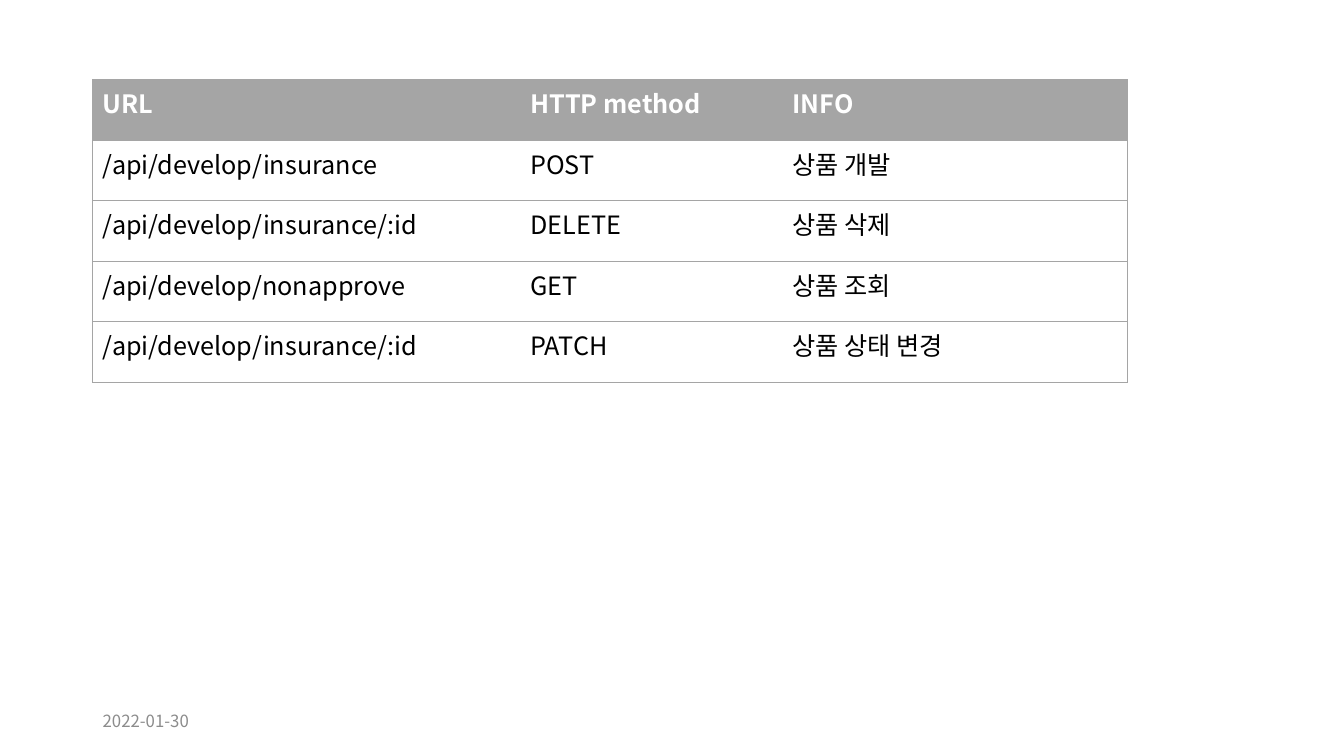
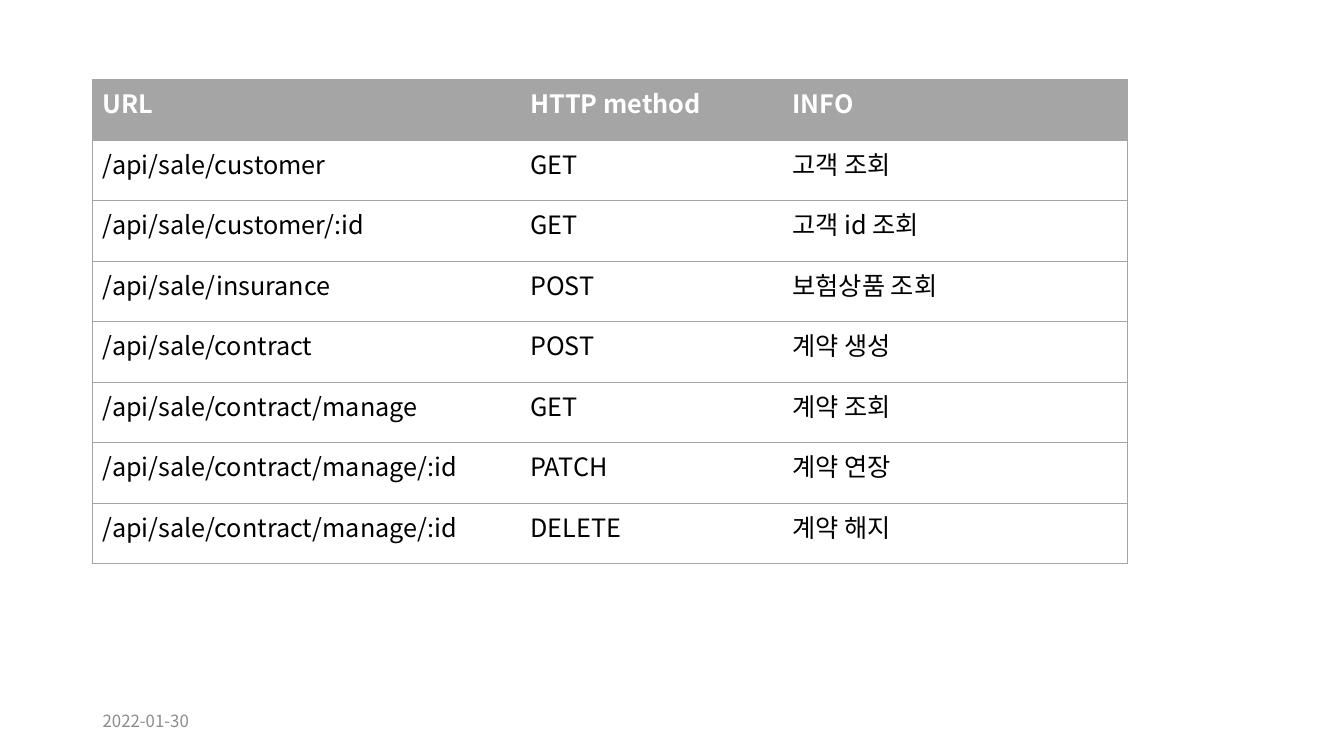
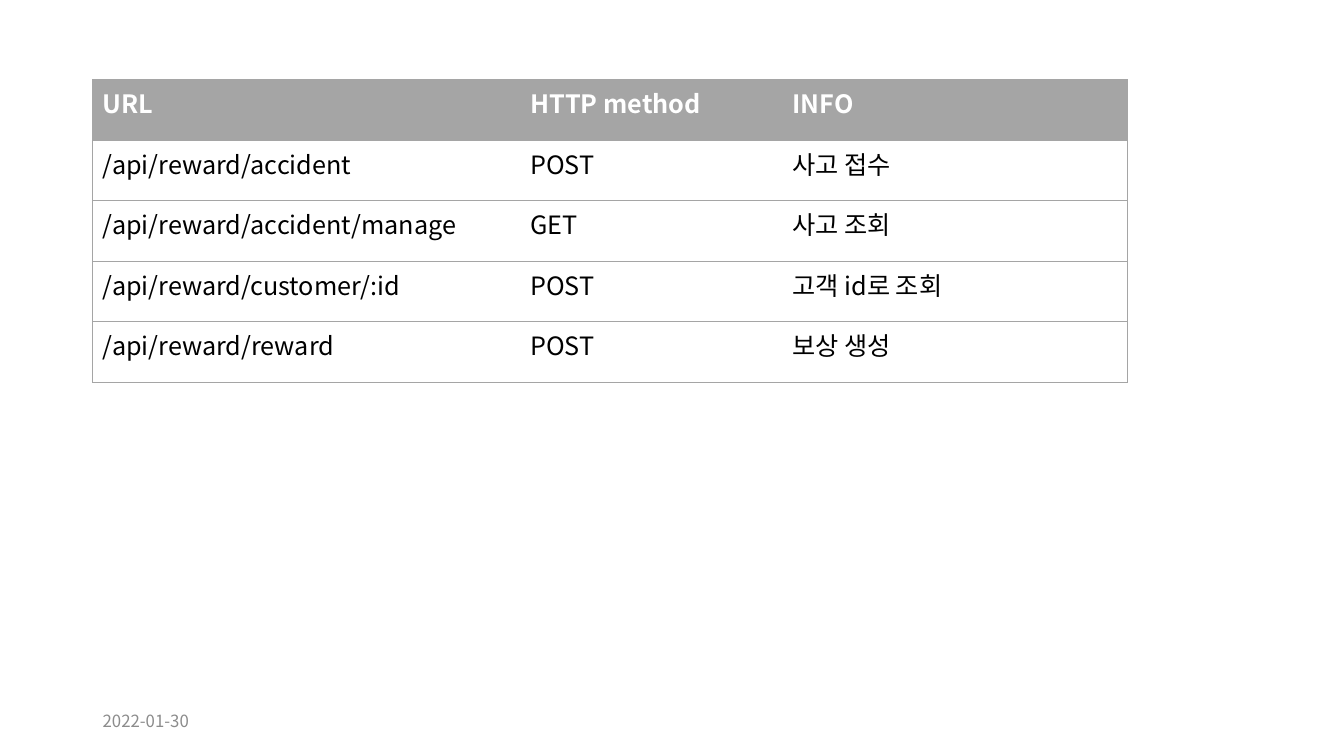
from dataclasses import dataclass

from lxml import etree
from pptx import Presentation
from pptx import util as u
from pptx.dml import color
from pptx.enum import text
from pptx.oxml import ns

PX = 9144  # EMU per px, 100 px to the inch
SLIDE_WIDTH, SLIDE_HEIGHT = 1333, 750
LEFT = 92
TABLE_TOP = 79
COLUMN_WIDTHS = (424, 260, 342)
ROW_HEIGHT = 60
DATE_TOP, DATE_WIDTH, DATE_HEIGHT = 695, 300, 40

FONT = "Noto Sans CJK KR"
WHITE, BLACK, GRAY, DATE_GRAY = "FFFFFF", "000000", "A5A5A5", "8C8C8C"
BORDER_POINTS = 0.5
DATE = "2022-01-30"


@dataclass(frozen=True)
class Endpoint:
    url: str
    method: str
    info: str


HEADER = Endpoint("URL", "HTTP method", "INFO")
DEVELOP = (
    Endpoint("/api/develop/insurance", "POST", "상품 개발"),
    Endpoint("/api/develop/insurance/:id", "DELETE", "상품 삭제"),
    Endpoint("/api/develop/nonapprove", "GET", "상품 조회"),
    Endpoint("/api/develop/insurance/:id", "PATCH", "상품 상태 변경"),
)
SALE = (
    Endpoint("/api/sale/customer", "GET", "고객 조회"),
    Endpoint("/api/sale/customer/:id", "GET", "고객 id 조회"),
    Endpoint("/api/sale/insurance", "POST", "보험상품 조회"),
    Endpoint("/api/sale/contract", "POST", "계약 생성"),
    Endpoint("/api/sale/contract/manage", "GET", "계약 조회"),
    Endpoint("/api/sale/contract/manage/:id", "PATCH", "계약 연장"),
    Endpoint("/api/sale/contract/manage/:id", "DELETE", "계약 해지"),
)
REWARD = (
    Endpoint("/api/reward/accident", "POST", "사고 접수"),
    Endpoint("/api/reward/accident/manage", "GET", "사고 조회"),
    Endpoint("/api/reward/customer/:id", "POST", "고객 id로 조회"),
    Endpoint("/api/reward/reward", "POST", "보상 생성"),
)


def px(length: int) -> u.Emu:
    return u.Emu(length * PX)


def rgb(value: str) -> color.RGBColor:
    return color.RGBColor.from_string(value)


def write(text_frame, content: str, size: int, ink: str, bold: bool = False) -> None:
    text_frame.text = content
    for run in text_frame.paragraphs[0].runs:
        font = run.font
        font.name, font.size, font.bold = FONT, u.Pt(size), bold
        font.color.rgb = rgb(ink)
        east_asian = etree.SubElement(font._element, ns.qn("a:ea"))
        east_asian.set("typeface", FONT)


def set_borders(cell, sides: str) -> None:
    """Draw the sides named by the letters L, R, T, B and clear the others."""
    properties = cell._tc.get_or_add_tcPr()
    for side in "LRTB":
        line = etree.SubElement(properties, ns.qn(f"a:ln{side}"))
        line.set("w", str(u.Pt(BORDER_POINTS)))
        if side in sides:
            fill = etree.SubElement(line, ns.qn("a:solidFill"))
            etree.SubElement(fill, ns.qn("a:srgbClr")).set("val", GRAY)
        else:
            etree.SubElement(line, ns.qn("a:noFill"))


def add_date(slide) -> None:
    box = slide.shapes.add_textbox(px(LEFT), px(DATE_TOP), px(DATE_WIDTH), px(DATE_HEIGHT))
    box.text_frame.word_wrap = True
    box.text_frame.vertical_anchor = text.MSO_ANCHOR.MIDDLE
    write(box.text_frame, DATE, 12, DATE_GRAY)


def add_endpoint_table(slide, endpoints: tuple[Endpoint, ...]) -> None:
    rows = (HEADER, *endpoints)
    table = slide.shapes.add_table(
        len(rows), len(COLUMN_WIDTHS), px(LEFT), px(TABLE_TOP),
        px(sum(COLUMN_WIDTHS)), px(ROW_HEIGHT * len(rows)),
    ).table
    table.horz_banding = False
    for column, width in zip(table.columns, COLUMN_WIDTHS):
        column.width = px(width)
    for row, endpoint in zip(table.rows, rows):
        row.height = px(ROW_HEIGHT)
        is_header = endpoint is HEADER
        contents = (endpoint.url, endpoint.method, endpoint.info)
        for cell, content, sides in zip(row.cells, contents, ("LTB", "TB", "RTB")):
            set_borders(cell, sides)
            if is_header:
                cell.fill.solid()
                cell.fill.fore_color.rgb = rgb(GRAY)
            else:
                cell.fill.background()
            write(cell.text_frame, content, 18, WHITE if is_header else BLACK, is_header)


def main() -> None:
    presentation = Presentation()
    presentation.slide_width = px(SLIDE_WIDTH)
    presentation.slide_height = px(SLIDE_HEIGHT)
    for endpoints in (DEVELOP, SALE, REWARD):
        slide = presentation.slides.add_slide(presentation.slide_layouts[6])
        add_date(slide)
        add_endpoint_table(slide, endpoints)
    presentation.save("out.pptx")


if __name__ == "__main__":
    main()
